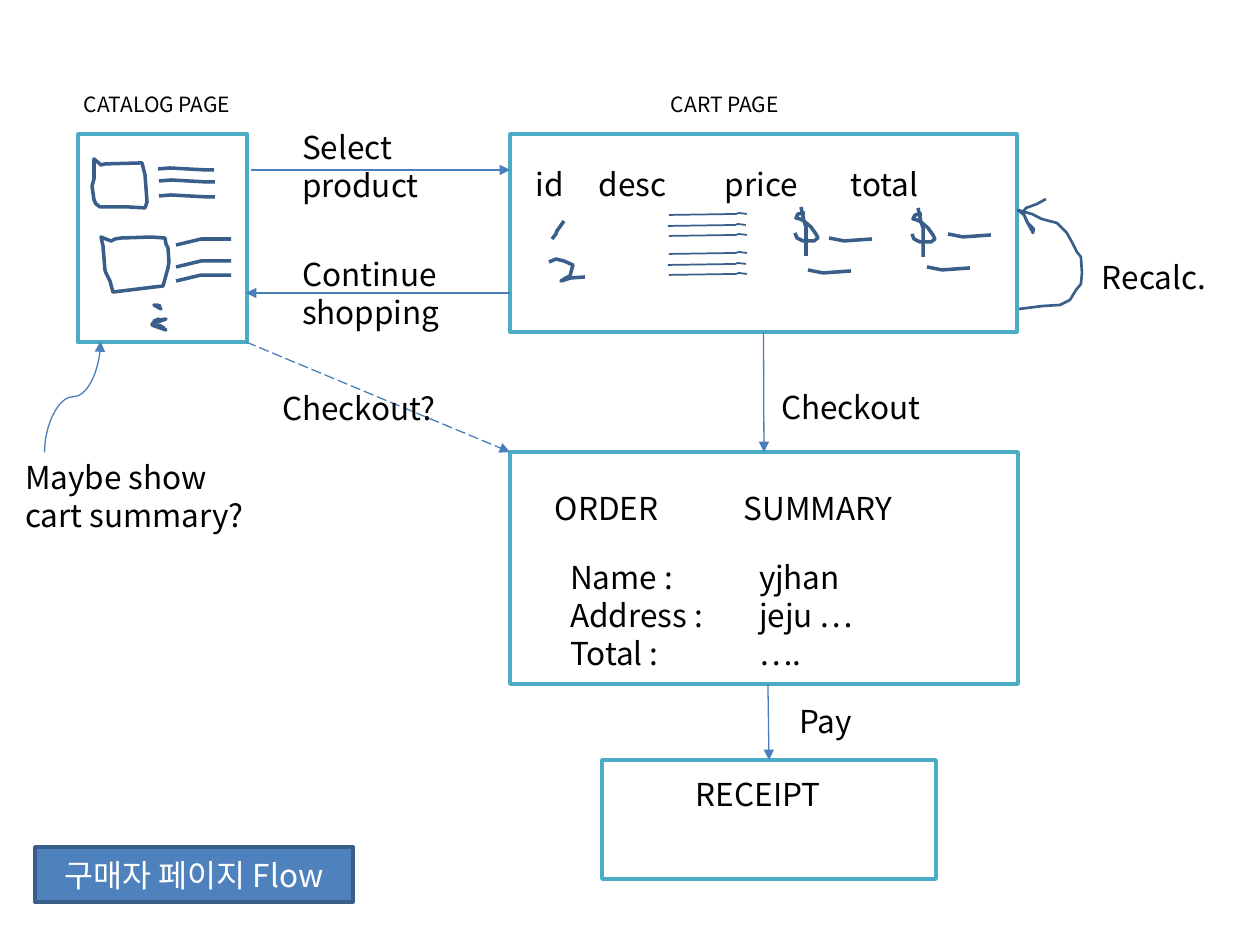
from lxml import etree
from pptx import Presentation
from pptx.dml.color import RGBColor
from pptx.enum.dml import MSO_LINE
from pptx.enum.shapes import MSO_CONNECTOR, MSO_SHAPE
from pptx.enum.text import MSO_ANCHOR, MSO_AUTO_SIZE, PP_ALIGN
from pptx.oxml.ns import qn
from pptx.util import Pt

SCALE = 914400 / 126
FONT = "Noto Sans CJK KR"
COLORS = {"panel": "4BACC6", "sketch": "3A5E8A", "accent": "4F81BD",
          "arrow": "4A7EBB", "text": "000000", "inverse": "FFFFFF"}
RECTANGLE = MSO_SHAPE.RECTANGLE
STRAIGHT, CURVE = MSO_CONNECTOR.STRAIGHT, MSO_CONNECTOR.CURVE
LONG_DASH = MSO_LINE.LONG_DASH
LEFT, CENTER = PP_ALIGN.LEFT, PP_ALIGN.CENTER
TOP, MIDDLE = MSO_ANCHOR.TOP, MSO_ANCHOR.MIDDLE
BOTTOM_SITE, TOP_SITE = 2, 0

THUMBNAILS = [
    [(16, 25), (16, 45), (14, 52), (16, 66), (18, 70), (22, 73), (50, 73), (67, 74),
     (69, 68), (67, 41), (66, 37), (64, 29), (27, 30), (23, 31)],
    [(23, 103), (25, 112), (27, 136), (28, 139), (30, 143), (32, 147), (35, 158),
     (76, 153), (85, 152), (90, 134), (91, 128), (90, 114), (88, 110), (87, 104),
     (73, 103), (43, 104), (37, 105), (33, 107)],
]
DOTS = [[(82, 172), (76, 171), (83, 175), (79, 171)],
        [(76, 187), (88, 185), (74, 190), (81, 185)],
        [(86, 194), (74, 191), (88, 196), (81, 191)]]
FLAT_LINE = [(0, 1), (12, 0), (48, 2), (56, 2)]
RISING_LINE = [(0, 6), (25, 0), (55, 0)]
DESCRIPTION_LINE = [(0, 2), (67, 1), (70, 0), (78, 1)]
DIGIT_ONE = [(54, 87), (47, 97), (46, 100), (42, 105)]
DIGIT_TWO = [(39, 128), (46, 125), (54, 127), (63, 131), (60, 142), (56, 144),
             (51, 147), (61, 144), (75, 143)]
DOLLAR_CURVE = [(10, 6), (3, 7), (1, 11), (5, 12), (9, 14), (16, 20), (21, 27),
                (23, 31), (19, 34), (8, 34), (2, 31), (0, 26)]
DOLLAR_BAR = [(6, 0), (9, 14), (11, 20), (11, 49)]
DASH = [(0, 0), (15, 3), (43, 1)]
RECALCULATE_LOOP = [
    (1, 110), (25, 107), (42, 106), (52, 101), (58, 91), (63, 85), (64, 74), (63, 58),
    (59, 53), (55, 45), (49, 34), (39, 24), (24, 20), (14, 15), (0, 11), (6, 16),
    (9, 23), (15, 34), (16, 30), (10, 24), (5, 13), (8, 9), (19, 5), (28, 0)]


def px(value):
    """Turn px into EMU."""
    return round(value * SCALE)


def rgb(name):
    """Look up a colour by its name."""
    return RGBColor.from_string(COLORS[name])


def place(shape, x, y, width, height):
    """Move and size a shape in px."""
    shape.left, shape.top, shape.width, shape.height = map(px, (x, y, width, height))


def write(shape, text, size=18, color="text", align=LEFT, anchor=TOP, inset=6):
    """Write formatted text into a shape, one paragraph for each line."""
    frame = shape.text_frame
    frame.text = text
    frame.word_wrap = True
    frame.auto_size = MSO_AUTO_SIZE.NONE
    frame.vertical_anchor = anchor
    frame.margin_left = frame.margin_right = px(inset)
    frame.margin_top = frame.margin_bottom = px(inset)
    for paragraph in frame.paragraphs:
        paragraph.alignment = align
        for run in paragraph.runs:
            run.font.name, run.font.size = FONT, Pt(size)
            run.font.color.rgb = rgb(color)
            east_asian = etree.SubElement(run.font._element, qn("a:ea"))
            east_asian.set("typeface", FONT)


def add_label(shapes, text, x, y, width, height, **text_format):
    """Add a text box."""
    write(shapes.add_textbox(*map(px, (x, y, width, height))), text, **text_format)


def add_panel(shapes, x, y, width, height):
    """Add the outlined rectangle of a page."""
    panel = shapes.add_shape(RECTANGLE, *map(px, (x, y, width, height)))
    panel.shadow.inherit = False
    panel.fill.background()
    panel.line.color.rgb = rgb("panel")
    panel.line.width = Pt(2)
    return panel


def add_stroke(shapes, points, x, y, width=2, close=False, fill=None):
    """Draw a sketched stroke whose points are relative to x, y."""
    moved = [(x + across, y + down) for across, down in points]
    builder = shapes.build_freeform(*moved[0], scale=SCALE)
    builder.add_line_segments(moved[1:], close=close)
    stroke = builder.convert_to_shape()
    stroke.shadow.inherit = False
    if fill:
        stroke.fill.solid()
        stroke.fill.fore_color.rgb = rgb(fill)
    else:
        stroke.fill.background()
    stroke.line.color.rgb = rgb("sketch")
    stroke.line.width = Pt(width)


def add_arrow(shapes, start, end, kind=STRAIGHT, dash=None):
    """Add a thin connector with an arrowhead at its end."""
    arrow = shapes.add_connector(kind, *map(px, (*start, *end)))
    arrow.line.color.rgb = rgb("arrow")
    arrow.line.width = Pt(0.75)
    if dash:
        arrow.line.dash_style = dash
    etree.SubElement(arrow.line._get_or_add_ln(), qn("a:tailEnd")).set("type", "triangle")
    etree.SubElement(arrow._element.spPr, qn("a:effectLst"))
    return arrow


def add_catalog_page(shapes, x, y, width, height):
    """Build the catalog page with its sketched products."""
    add_panel(shapes, x, y, width, height)
    add_label(shapes, "CATALOG PAGE", x, y - 48, 198, 37, size=12)
    for thumbnail in THUMBNAILS:
        add_stroke(shapes, thumbnail, x, y, close=True)
    for left, top in ((80, 34), (81, 46), (81, 61)):
        add_stroke(shapes, FLAT_LINE, x + left, y + top)
    for top in (105, 127, 141):
        add_stroke(shapes, RISING_LINE, x + 98, y + top)
    for dot in DOTS:
        add_stroke(shapes, dot, x, y, close=True, fill="accent")


def add_cart_page(shapes, x, y, width, height):
    """Build the cart page with its sketched rows."""
    panel = add_panel(shapes, x, y, width, height)
    add_label(shapes, "CART PAGE", x + 155, y - 48, 139, 37, size=12)
    add_label(shapes, "id\tdesc\tprice\ttotal", x + 20, y + 25, 476, 52)
    for row_top in (79, 118):
        for left, top in ((159, 0), (158, 11), (159, 21)):
            add_stroke(shapes, DESCRIPTION_LINE, x + left, y + row_top + top, width=1)
    for digit in (DIGIT_ONE, DIGIT_TWO):
        add_stroke(shapes, digit, x, y)
    for left, top in ((285, 73), (402, 74)):
        for part in (DOLLAR_CURVE, DOLLAR_BAR):
            add_stroke(shapes, part, x + left, y + top)
    for left, top in ((319, 104), (298, 136), (438, 100), (417, 133)):
        add_stroke(shapes, DASH, x + left, y + top)
    return panel


def add_order_page(shapes, x, y, width, height):
    """Build the order summary page."""
    panel = add_panel(shapes, x, y, width, height)
    add_label(shapes, "ORDER\t\tSUMMARY", x + 39, y + 31, 441, 52)
    add_label(shapes, "Name : \t\tyjhan\nAddress :\tjeju …\nTotal :\t\t….",
              x + 54, y + 100, 407, 129)
    return panel


def add_receipt_page(shapes, x, y, width, height):
    """Build the receipt page."""
    panel = add_panel(shapes, x, y, width, height)
    add_label(shapes, "RECEIPT", x + 88, y + 9, 140, 89)
    return panel


def add_flow(shapes, cart, order, receipt):
    """Add the arrows between the pages and their labels."""
    add_arrow(shapes, (251, 170), (510, 170))
    add_arrow(shapes, (510, 293), (246, 293))
    add_arrow(shapes, (246, 342), (510, 452), dash=LONG_DASH)
    checkout = add_arrow(shapes, (764, 332), (764, 452))
    checkout.begin_connect(cart, BOTTOM_SITE)
    checkout.end_connect(order, TOP_SITE)
    pay = add_arrow(shapes, (768, 685), (769, 760))
    pay.end_connect(receipt, TOP_SITE)
    note_arrow = add_arrow(shapes, (128, 425), (17, 369), kind=CURVE)
    note_arrow.rotation = 90
    add_stroke(shapes, RECALCULATE_LOOP, 1018, 199, width=1.5)
    for text, x, y, width, height in (
            ("Select product", 296, 122, 169, 89),
            ("Continue shopping", 296, 249, 169, 89),
            ("Checkout?", 276, 383, 195, 52),
            ("Checkout", 775, 382, 195, 52),
            ("Pay", 793, 696, 195, 52),
            ("Recalc.", 1096, 252, 139, 52),
            ("Maybe show cart summary?", 19, 452, 232, 89)):
        add_label(shapes, text, x, y, width, height)


def format_title(title, x, y, width, height):
    """Turn the title placeholder into the filled caption."""
    place(title, x, y, width, height)
    title.fill.solid()
    title.fill.fore_color.rgb = rgb("accent")
    title.line.color.rgb = rgb("sketch")
    title.line.width = Pt(2)
    write(title, "구매자 페이지 Flow", color="inverse", align=CENTER, anchor=MIDDLE, inset=0)


def main():
    """Build and save the presentation."""
    presentation = Presentation()
    presentation.slide_width, presentation.slide_height = px(1260), px(945)
    slide = presentation.slides.add_slide(presentation.slide_layouts[5])
    shapes = slide.shapes
    format_title(shapes.title, 35, 847, 318, 55)
    add_catalog_page(shapes.add_group_shape().shapes, 78, 134, 169, 208)
    cart = add_cart_page(shapes.add_group_shape().shapes, 510, 134, 507, 198)
    order = add_order_page(shapes.add_group_shape().shapes, 510, 452, 508, 232)
    receipt = add_receipt_page(shapes.add_group_shape().shapes, 602, 760, 334, 119)
    add_flow(shapes, cart, order, receipt)
    presentation.save("out.pptx")


if __name__ == "__main__":
    main()
